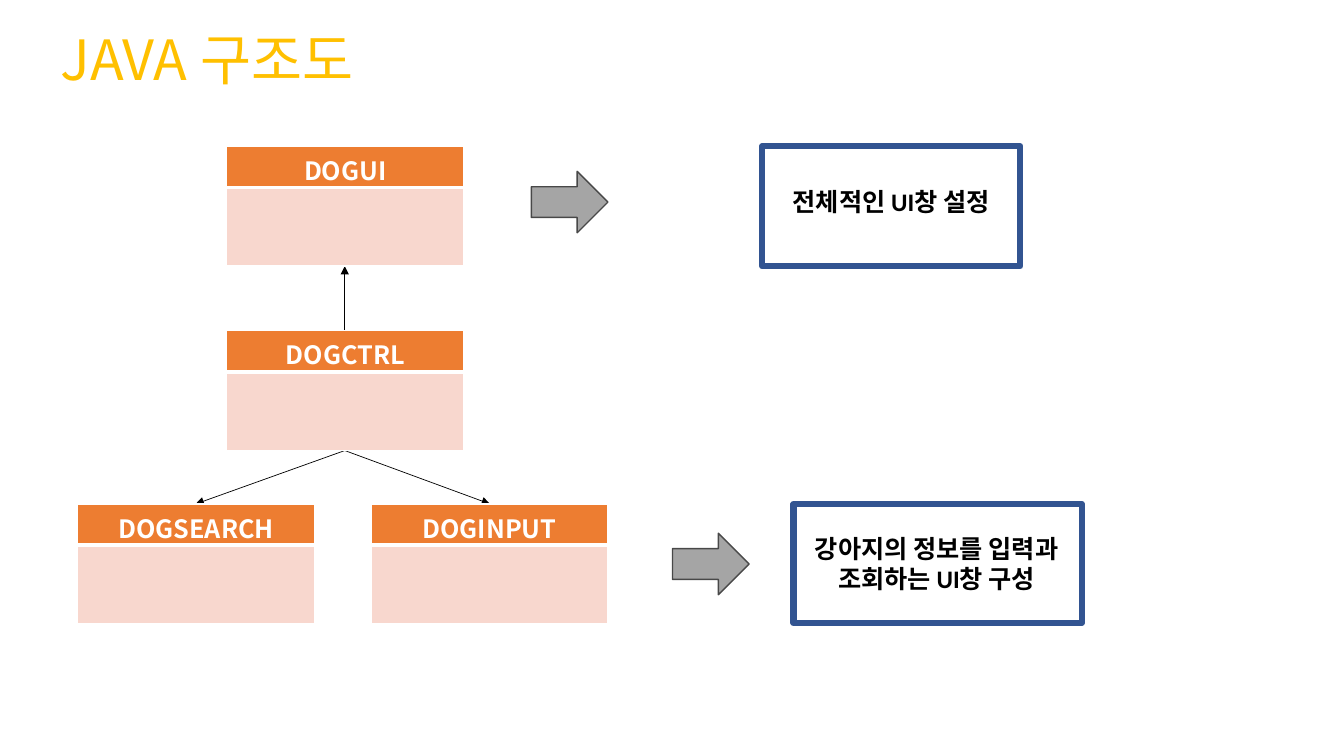
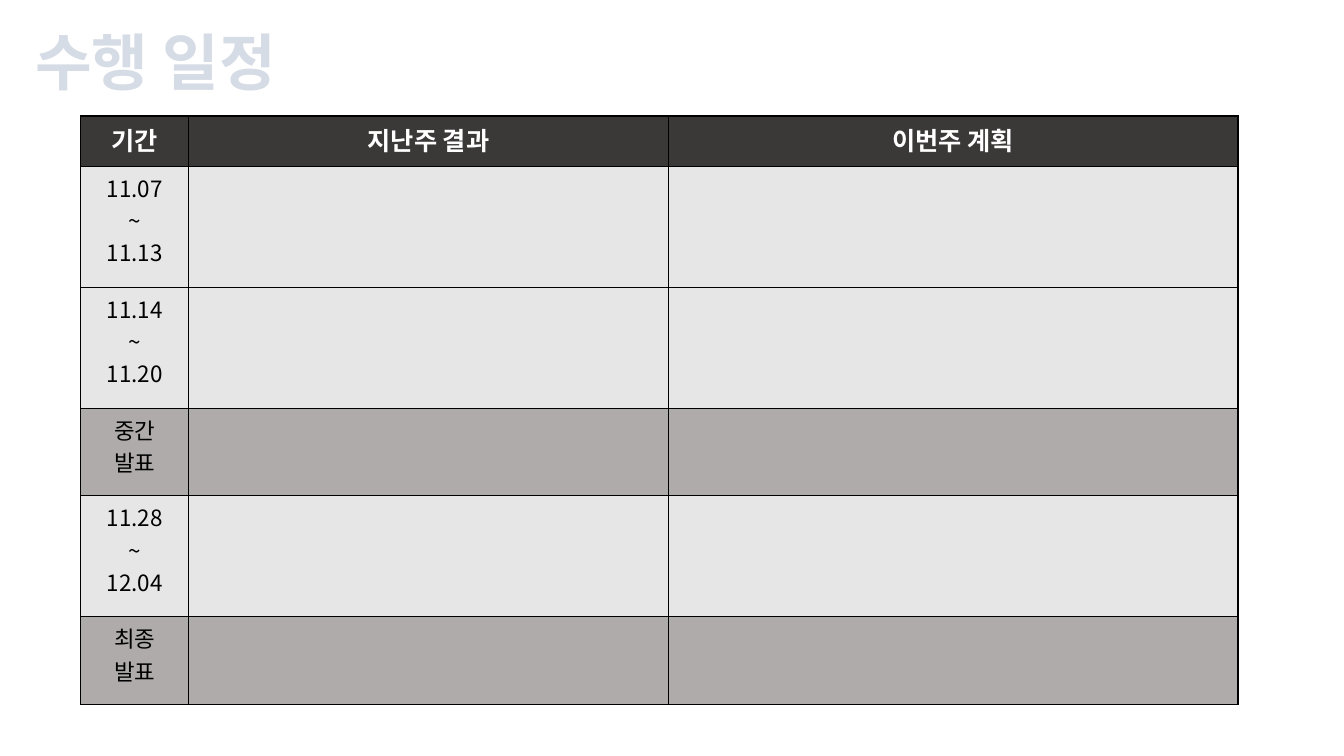
from lxml.etree import SubElement
from pptx import Presentation
from pptx.dml.color import RGBColor
from pptx.enum.dml import MSO_PATTERN
from pptx.enum.shapes import MSO_CONNECTOR, MSO_SHAPE
from pptx.enum.text import MSO_ANCHOR, PP_ALIGN
from pptx.oxml import parse_xml
from pptx.oxml.ns import nsdecls, qn
from pptx.util import Pt

PX = 9144  # 100 px to the inch
KR = "Noto Sans CJK KR"
BLACK, WHITE, GOLD = "000000", "FFFFFF", "FFC000"
ORANGE, PINK, BLUE = "ED7D31", "F8D7CE", "325491"
ARROW, ARROW_EDGE = "A5A5A5", "484848"
DARK, LIGHT, MID = "3B3838", "E7E6E6", "AFABAB"
rgb = RGBColor.from_string


def style(r, size, color, bold=False, font=KR):
    r.font.size, r.font.bold, r.font.name = Pt(size), bold, font
    r.font.color.rgb = rgb(color)
    SubElement(r.font._element, qn("a:ea")).set("typeface", KR)


def add_grid(s, x, y, cols, rows, texts, fills, line, rule, margins):
    """Table with a bold white header; rule is the line width below the header."""
    frame = s.shapes.add_table(len(rows), len(cols), x * PX, y * PX,
                               sum(cols) * PX, sum(rows) * PX)
    table = frame.table
    table.first_row = table.horz_banding = False
    for col, w in zip(table.columns, cols):
        col.width = w * PX
    for i, h in enumerate(rows):
        table.rows[i].height = h * PX
        for j in range(len(cols)):
            cell = table.cell(i, j)
            side, top, bottom = margins
            cell.margin_left = cell.margin_right = side * PX
            cell.margin_top, cell.margin_bottom = top * PX, bottom * PX
            tcPr = cell._tc.get_or_add_tcPr()
            widths = {"L": 1, "R": 1, "T": rule if i == 1 else 1, "B": rule if i == 0 else 1}
            for edge, width in widths.items():
                ln = SubElement(tcPr, qn(f"a:ln{edge}"), w=str(Pt(width)))
                SubElement(SubElement(ln, qn("a:solidFill")), qn("a:srgbClr"), val=line)
            cell.fill.solid()
            cell.fill.fore_color.rgb = rgb(fills[i])
            if j < len(texts[i]):
                cell.text_frame.text = texts[i][j]
                for p in cell.text_frame.paragraphs:
                    p.alignment = PP_ALIGN.CENTER
                    if i == 0:
                        style(p.runs[0], 18, WHITE, True)
                    else:
                        style(p.runs[0], 16, BLACK)


prs = Presentation()
prs.slide_width, prs.slide_height = 1333 * PX, 750 * PX
blank = prs.slide_layouts[6]

# Slides and titles
title_runs = []
for text, x, y, w, h, size, bold in [
    ("JAVA 구조도", 50, 18, 349, 89, 39.6, False),
    ("수행 일정", 25, 14, 856, 102, 44, True),
]:
    s = prs.slides.add_slide(blank)
    tf = s.shapes.add_textbox(x * PX, y * PX, w * PX, h * PX).text_frame
    tf.word_wrap, tf.vertical_anchor = True, MSO_ANCHOR.MIDDLE
    p = tf.paragraphs[0]
    p.text, p.line_spacing = text, 0.9
    style(p.runs[0], size, GOLD, bold)
    title_runs.append(p.runs[0])

# Slide 1: arrows between classes
s = prs.slides[0]
for x1, y1, x2, y2 in [(342, 328, 342, 264), (342, 447, 194, 500), (342, 447, 486, 500)]:
    link = s.shapes.add_connector(MSO_CONNECTOR.STRAIGHT, x1 * PX, y1 * PX, x2 * PX, y2 * PX)
    link.line.color.rgb, link.line.width = rgb(BLACK), Pt(0.5)
    SubElement(link.line._get_or_add_ln(), qn("a:tailEnd"), type="triangle")
    SubElement(link._element.spPr, qn("a:effectLst"))

# Slide 1: block arrows and description boxes
for arrow_x, arrow_y, box, text_x, text_y, text_h, before, after in [
    (527, 170, (756, 145, 256, 119), 741, 180, 40, "전체적인 ", "창 설정"),
    (667, 529, (787, 500, 286, 118), 786, 524, 71, "강아지의 정보를 입력과 조회하는 ", "창 구성"),
]:
    arrow = s.shapes.add_shape(MSO_SHAPE.RIGHT_ARROW, arrow_x * PX, arrow_y * PX, 76 * PX, 61 * PX)
    arrow.shadow.inherit = False
    arrow.fill.solid()
    arrow.fill.fore_color.rgb = rgb(ARROW)
    arrow.line.color.rgb, arrow.line.width = rgb(ARROW_EDGE), Pt(1)

    sp = s.shapes.add_shape(MSO_SHAPE.RECTANGLE, *[v * PX for v in box])
    sp.shadow.inherit = False
    sp.fill.background()
    sp.line.color.rgb, sp.line.width = rgb(BLUE), Pt(4.5)

    tf = s.shapes.add_textbox(text_x * PX, text_y * PX, 286 * PX, text_h * PX).text_frame
    tf.word_wrap = True
    p = tf.paragraphs[0]
    p.alignment = PP_ALIGN.CENTER
    for text, font in [(before, "Quicksand"), ("UI", "Calibri"), (after, "Quicksand")]:
        r = p.add_run()
        r.text = text
        style(r, 18, BLACK, True, font)

# Slide 1: class tables
for name, x, y in [("DOGUI", 225, 145), ("DOGCTRL", 225, 328),
                   ("DOGSEARCH", 77, 500), ("DOGINPUT", 368, 500)]:
    add_grid(s, x, y, [235], [41, 78], [[name], []], [ORANGE, PINK], WHITE, 3, (10, 5, 0))

# Slide 2: patterned, outlined title
s = prs.slides[1]
font = title_runs[1].font
font.fill.patterned()
font.fill.pattern = MSO_PATTERN.DARK_UPWARD_DIAGONAL
font.fill.fore_color.rgb, font.fill.back_color.rgb = rgb("44546A"), rgb("D6DCE5")
font._element.insert(0, parse_xml(
    f'<a:ln {nsdecls("a")} w="{Pt(1)}"><a:solidFill><a:srgbClr val="333F50"/></a:solidFill></a:ln>'))

# Slide 2: schedule
schedule = [["기간", "지난주 결과", "이번주 계획"], ["11.07\n~\n11.13"], ["11.14\n~\n11.20"],
            ["중간 발표"], ["11.28\n~\n12.04"], ["최종 발표"]]
add_grid(s, 80, 115, [107, 476, 565], [50, 120, 120, 87, 120, 87], schedule,
         [DARK, LIGHT, LIGHT, MID, LIGHT, MID], BLACK, 1, (12, 5, 5))

prs.save("out.pptx")
